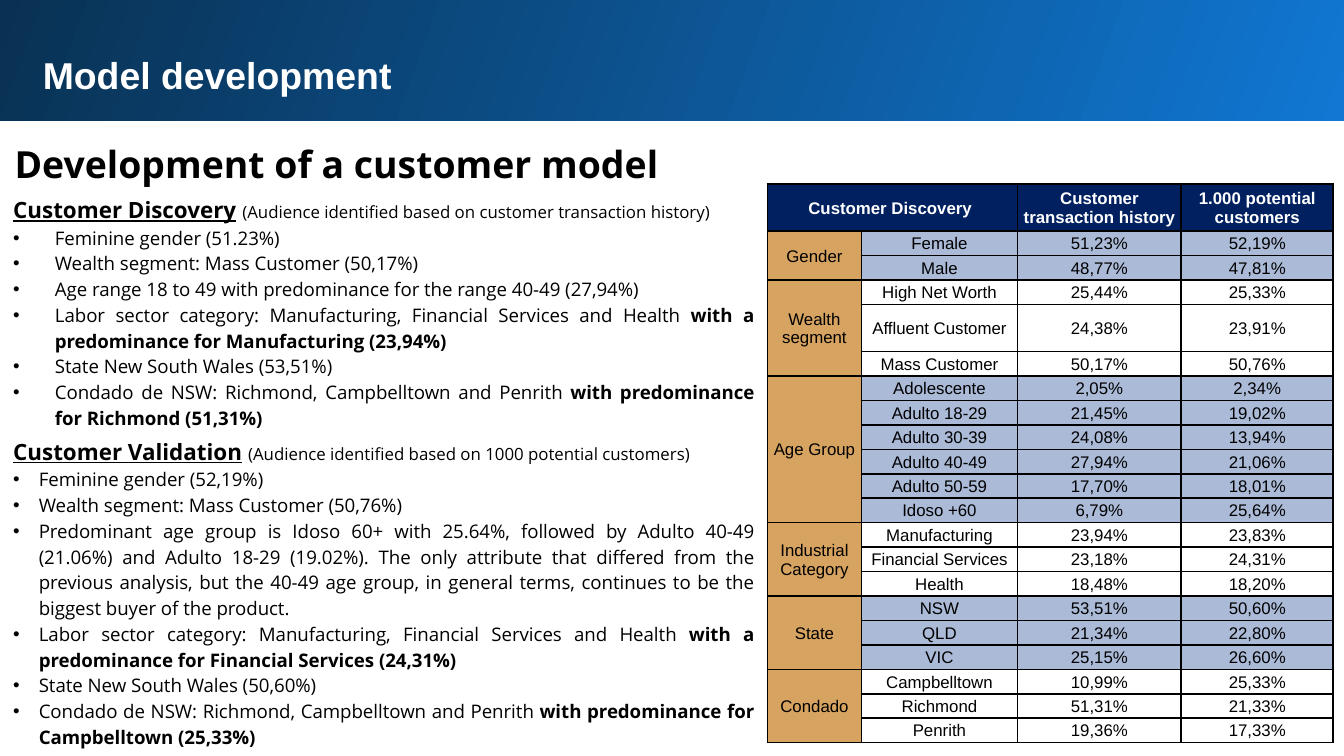
from lxml.etree import SubElement
from pptx import Presentation
from pptx.dml.color import RGBColor
from pptx.enum.shapes import MSO_SHAPE
from pptx.enum.text import MSO_ANCHOR, PP_ALIGN
from pptx.oxml import parse_xml
from pptx.oxml.ns import nsdecls, qn
from pptx.util import Inches, Pt

COLORS = {
    "navy": "002060", "gold": "D7A360", "blue": "AABAD7",
    "white": "FFFFFF", "black": "000000",
    "light": "1077D2", "dark": "093153",
}

HEADER = ["Customer Discovery ", "", "Customer transaction history", "1.000 potential customers"]
GROUPS = [
    ("Gender", [("Female", "51,23%", "52,19%"), ("Male", "48,77%", "47,81%")]),
    ("Wealth segment", [
        ("High Net Worth", "25,44%", "25,33%"),
        ("Affluent Customer", "24,38%", "23,91%"),
        ("Mass Customer", "50,17%", "50,76%"),
    ]),
    ("Age Group", [
        ("Adolescente", "2,05%", "2,34%"),
        ("Adulto 18-29", "21,45%", "19,02%"),
        ("Adulto 30-39", "24,08%", "13,94%"),
        ("Adulto 40-49", "27,94%", "21,06%"),
        ("Adulto 50-59", "17,70%", "18,01%"),
        ("Idoso +60", "6,79%", "25,64%"),
    ]),
    ("Industrial Category", [
        ("Manufacturing", "23,94%", "23,83%"),
        ("Financial Services", "23,18%", "24,31%"),
        ("Health", "18,48%", "18,20%"),
    ]),
    ("State", [
        ("NSW", "53,51%", "50,60%"),
        ("QLD", "21,34%", "22,80%"),
        ("VIC", "25,15%", "26,60%"),
    ]),
    ("Condado", [
        ("Campbelltown", "10,99%", "25,33%"),
        ("Richmond", "51,31%", "21,33%"),
        ("Penrith", "19,36%", "17,33%"),
    ]),
]

LABOR = "Labor sector category: Manufacturing, Financial Services and Health "
COUNTY = "Condado de NSW: Richmond, Campbelltown and Penrith "
PARTS = [
    ("Customer Discovery", "(Audience identified based on customer transaction history)", 0, 0.31, [
        ("Feminine gender (51.23%)", ""),
        ("Wealth segment: Mass Customer (50,17%)", ""),
        ("Age range 18 to 49 with predominance for the range 40-49 (27,94%)", ""),
        (LABOR, "with a predominance for Manufacturing (23,94%)"),
        ("State New South Wales (53,51%)", ""),
        (COUNTY, "with predominance for Richmond (51,31%)"),
    ]),
    ("Customer Validation", "(Audience identified based on 1000 potential customers)", 2.5, 0.19, [
        ("Feminine gender (52,19%)", ""),
        ("Wealth segment: Mass Customer (50,76%)", ""),
        ("Predominant age group is Idoso 60+ with 25.64%, followed by Adulto 40-49 (21.06%) "
         "and Adulto 18-29 (19.02%). The only attribute that differed from the previous analysis, "
         "but the 40-49 age group, in general terms, continues to be the biggest buyer of the product.", ""),
        (LABOR, "with a predominance for Financial Services (24,31%)"),
        ("State New South Wales (50,60%)", ""),
        (COUNTY, "with predominance for Campbelltown (25,33%)"),
    ]),
]


class Deck:
    sans = "Open Sans"
    plain = "Arial"

    def __init__(self, wide, ratio):
        self.prs = Presentation()
        self.prs.slide_width, self.prs.slide_height = Inches(wide), Inches(wide / ratio)
        self.slide = self.prs.slides.add_slide(self.prs.slide_layouts[6])

    def color(self, name):
        return RGBColor.from_string(COLORS[name])

    def style(self, font, face, size, color="black", bold=None):
        font.name, font.size, font.bold = face, Pt(size), bold
        font.color.rgb = self.color(color)

    def band(self, *box):
        shape = self.slide.shapes.add_shape(MSO_SHAPE.RECTANGLE, *map(Inches, box))
        shape.shadow.inherit = False
        shape.line.fill.background()
        shape.fill.gradient()
        shape.fill.gradient_angle = 160
        for stop, name in zip(shape.fill.gradient_stops, ("light", "dark")):
            stop.color.rgb = self.color(name)

    def frame(self, *box):
        frame = self.slide.shapes.add_textbox(*map(Inches, box)).text_frame
        frame.word_wrap = True
        frame.margin_left = frame.margin_right = Inches(0.1)
        frame.margin_top = frame.margin_bottom = Inches(0.1)
        return frame

    def title(self, text, box, face, color, space):
        para = self.frame(*box).paragraphs[0]
        para.text = text
        para.line_spacing = space
        self.style(para.font, face, 20, color, True)

    def heading(self, para, name, note, gap):
        para.line_spacing = 1.15
        para.space_before = Pt(gap)
        for text, size, bold in ((name, 12, True), (" ", 12, False), (note, 9, False)):
            run = para.add_run()
            run.text = text
            self.style(run.font, self.sans, size, bold=bold)
            run.font.underline = bold

    def bullet(self, para, text, strong, indent):
        para.alignment = PP_ALIGN.JUSTIFY
        para.line_spacing = 1.15
        props = para._p.get_or_add_pPr()
        props.set("marL", str(Inches(indent)))
        props.set("indent", str(-Inches(indent)))
        SubElement(props, qn("a:buFont"), typeface=self.plain)
        SubElement(props, qn("a:buChar"), char="•")
        self.style(para.font, self.sans, 10)
        para.add_run().text = text
        if strong:
            run = para.add_run()
            run.text = strong
            run.font.bold = True

    def body(self, parts, *box):
        frame = self.frame(*box)
        para = frame.paragraphs[0]
        for name, note, gap, indent, items in parts:
            if gap:
                para = frame.add_paragraph()
            self.heading(para, name, note, gap)
            for text, strong in items:
                self.bullet(frame.add_paragraph(), text, strong, indent)

    def cell(self, cell, text, fill, color="black", bold=False):
        cell.margin_left = cell.margin_right = cell.margin_top = Inches(0.01)
        cell.margin_bottom = 0
        cell.vertical_anchor = MSO_ANCHOR.MIDDLE
        if fill:
            cell.fill.solid()
            cell.fill.fore_color.rgb = self.color(fill)
        else:
            cell.fill.background()
        for place, side in enumerate("LRTB"):
            cell._tc.tcPr.insert(place, parse_xml(
                f'<a:ln{side} {nsdecls("a")} w="{Pt(1)}"><a:solidFill>'
                f'<a:srgbClr val="{COLORS["black"]}"/></a:solidFill></a:ln{side}>'))
        para = cell.text_frame.paragraphs[0]
        para.text = text
        para.alignment = PP_ALIGN.CENTER
        self.style(para.font, self.plain, 9, color, bold)

    def table(self, header, groups, cols, tall, *box):
        count = 1 + sum(len(rows) for _, rows in groups)
        table = self.slide.shapes.add_table(count, len(cols), *map(Inches, box)).table
        table.first_row = table.horz_banding = False
        for col, wide in zip(table.columns, cols):
            col.width = Inches(wide)
        short = (box[3] - 0.35 * len(tall)) / (count - len(tall))
        for place, row in enumerate(table.rows):
            row.height = Inches(0.35 if place in tall else short)
        for col, text in enumerate(header):
            self.cell(table.cell(0, col), text, "navy", "white", True)
        table.cell(0, 0).merge(table.cell(0, 1))
        top = 1
        for place, (name, rows) in enumerate(groups):
            fill = None if place % 2 else "blue"
            for step, values in enumerate(rows):
                self.cell(table.cell(top + step, 0), "" if step else name, "gold")
                for col, text in enumerate(values, 1):
                    self.cell(table.cell(top + step, col), text, fill)
            table.cell(top, 0).merge(table.cell(top + len(rows) - 1, 0))
            top += len(rows)


def main():
    deck = Deck(10, 16 / 9)
    deck.band(0, -0.02, 10, 0.92)
    deck.title("Model development", (0.22, 0.29, 9.37, 0.54), deck.plain, "white", 1)
    deck.title("Development of a customer model", (0.01, 0.9, 9.99, 0.55), deck.sans, "black", 1.15)
    deck.body(PARTS, 0, 1.33, 5.71, 4.25)
    deck.table(HEADER, GROUPS, (0.7, 1.16, 1.22, 1.13), (0, 4), 5.71, 1.37, 4.22, 4.16)
    deck.prs.save("out.pptx")


if __name__ == "__main__":
    main()
